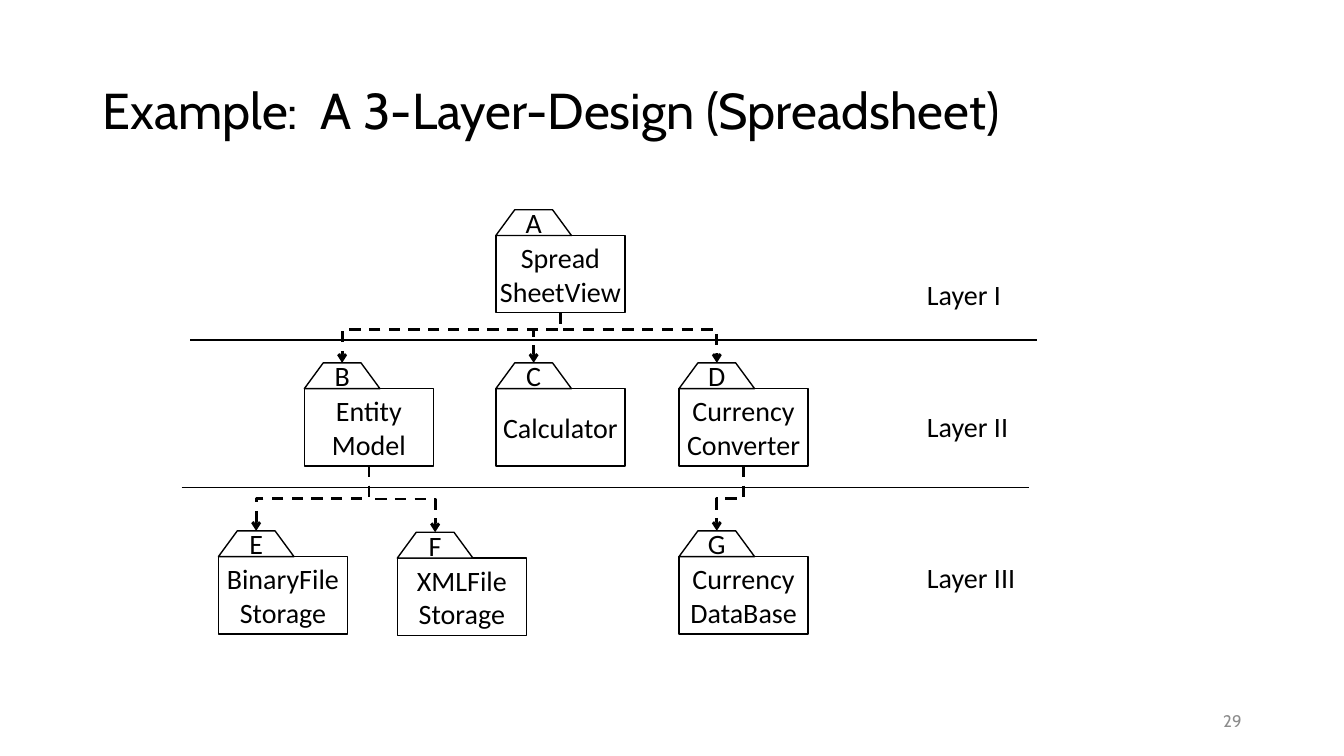
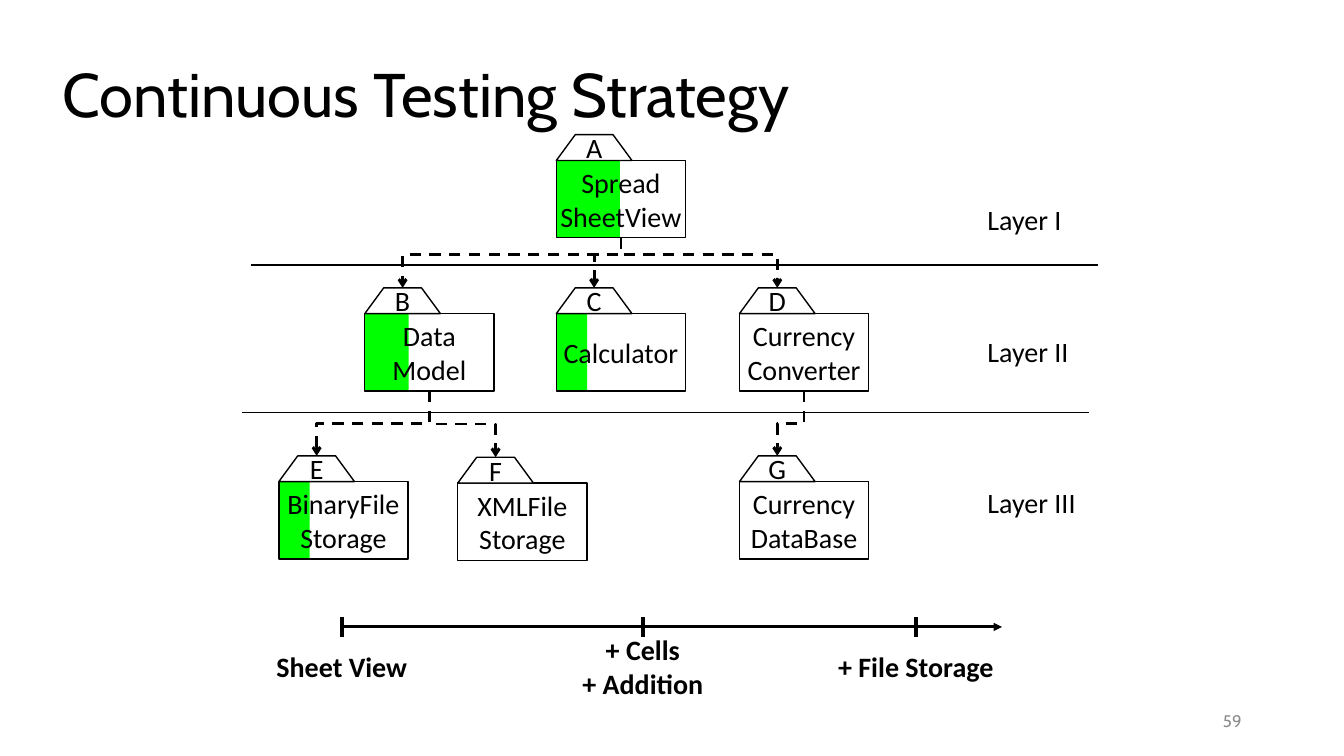
"""Build two slides that show a layered spreadsheet design and its testing strategy."""
from dataclasses import dataclass, field

from lxml import etree
from pptx import Presentation
from pptx.dml.color import RGBColor
from pptx.enum.dml import MSO_LINE
from pptx.enum.shapes import MSO_CONNECTOR, MSO_SHAPE
from pptx.enum.text import MSO_ANCHOR, MSO_AUTO_SIZE, PP_ALIGN
from pptx.oxml.ns import qn
from pptx.shapes.autoshape import Shape
from pptx.shapes.connector import Connector
from pptx.slide import Slide
from pptx.util import Pt

STRAIGHT, ELBOW = MSO_CONNECTOR.STRAIGHT, MSO_CONNECTOR.ELBOW
RECTANGLE, DASH = MSO_SHAPE.RECTANGLE, MSO_LINE.DASH
LEFT, CENTER, RIGHT = PP_ALIGN.LEFT, PP_ALIGN.CENTER, PP_ALIGN.RIGHT
MIDDLE, FIXED = MSO_ANCHOR.MIDDLE, MSO_AUTO_SIZE.NONE

COLORS = {"ink": "000000", "paper": "FFFFFF", "done": "00FF00", "number": "8C8C8C"}
BODY = {"name": "Calibri", "size": Pt(20)}
BOLD = {**BODY, "bold": True}
NUMBER = {"name": "Cabin", "size": Pt(12)}

SLIDE_WIDTH, SLIDE_HEIGHT = 960, 540
TITLE_ONLY = 5
BOX_WIDTH, BOX_HEIGHT = 92.3, 55.2
TAB_WIDTH, TAB_HEIGHT, TAB_SLANT = 54, 18.4, 13.5
TIMELINE_Y, TICK_HALF = 447.8, 7.2


@dataclass
class Module:
    """A package symbol: a lettered tab above a named box."""
    letter: str
    name: str
    left: float
    top: float


@dataclass
class Layer:
    """A layer name and its place."""
    name: str
    top: float


@dataclass
class Separator:
    """A horizontal line between two layers."""
    left: float
    top: float


@dataclass
class Dependency:
    """An arrow between two modules, bent at a share of its height."""
    source: str
    target: str
    bend: float


@dataclass
class Milestone:
    """A tick on the timeline and the label below it."""
    text: str
    x: float


@dataclass
class Diagram:
    """One slide: its title, its number and what differs in the diagram."""
    title: str
    title_frame: tuple[float, float, float, float]
    title_size: float
    number: str
    shift_x: float = 0
    shift_y: float = 0
    names: dict[str, str] = field(default_factory=dict)
    progress: dict[str, float] = field(default_factory=dict)
    milestones: list[Milestone] = field(default_factory=list)


MODULES = [
    Module("A", "Spread\vSheetView", 354.2, 149.8),
    Module("B", "Entity\nModel", 217.4, 259.2),
    Module("C", "Calculator", 354.2, 259.2),
    Module("D", "Currency\nConverter", 485, 259.2),
    Module("E", "BinaryFile\vStorage", 156, 379.2),
    Module("F", "XMLFile\vStorage", 283.8, 380.2),
    Module("G", "Currency\vDataBase", 485, 379.2),
]
LAYERS = [Layer("Layer I", 194.6), Layer("Layer II", 289), Layer("Layer III", 397.2)]
SEPARATORS = [Separator(136, 243), Separator(129.8, 348.4)]
SEPARATOR_LENGTH, LAYER_LEFT = 605, 655
DEPENDENCIES = [
    *(Dependency("A", target, 0.34) for target in "BCD"),
    Dependency("D", "G", 0.5),
    Dependency("B", "F", 0.5),
    Dependency("B", "E", 0.5),
]
DIAGRAMS = [
    Diagram("Example:  A 3-Layer-Design (Spreadsheet)", (66, 28.8, 828, 104.4), 36, "29"),
    Diagram(
        "Continuous Testing Strategy", (37.4, 31, 720, 77.8), 44, "59", 43.2, -53.6,
        names={"B": "Data\vModel"},
        progress={"A": 45.5, "B": 31.4, "C": 22, "E": 22},
        milestones=[
            Milestone("Sheet View", 244.2),
            Milestone("+ Cells\n+ Addition", 459.2),
            Milestone("+ File Storage", 654.2),
        ],
    ),
]


def color(name: str) -> RGBColor:
    """Look up a named colour."""
    return RGBColor.from_string(COLORS[name])


def write(shape: Shape, text: str, style: dict, align: PP_ALIGN = CENTER,
          ink: str = "ink", wrap: bool = False) -> None:
    """Put formatted text, centred vertically, into a shape."""
    frame = shape.text_frame
    frame.text = text
    settings = {"word_wrap": wrap, "auto_size": FIXED, "vertical_anchor": MIDDLE,
                "margin_top": 0, "margin_bottom": 0}
    for key, value in settings.items():
        setattr(frame, key, value)
    for para in frame.paragraphs:
        para.alignment = align
        for span in para.runs:
            for key, value in style.items():
                setattr(span.font, key, value)
            span.font.color.rgb = color(ink)


def add_label(page: Slide, frame: tuple[float, float, float, float], text: str,
              style: dict, align: PP_ALIGN, ink: str = "ink") -> None:
    """Add a text box."""
    box = page.shapes.add_textbox(*map(Pt, frame))
    write(box, text, style, align, ink, wrap=True)


def paint(shape: Shape, fill: str | None, line: str | None = "ink") -> None:
    """Set fill and outline, and drop the shadow."""
    shape.shadow.inherit = False
    if fill:
        shape.fill.solid()
        shape.fill.fore_color.rgb = color(fill)
    else:
        shape.fill.background()
    if line:
        shape.line.color.rgb = color(line)
        shape.line.width = Pt(1)
    else:
        shape.line.fill.background()


def add_line(page: Slide, kind: MSO_CONNECTOR, ends: tuple[float, float, float, float],
             width: float, head: str = "") -> Connector:
    """Add a connector, with an arrowhead at its end if one is named."""
    connector = page.shapes.add_connector(kind, *map(Pt, ends))
    connector.line.color.rgb = color("ink")
    connector.line.width = Pt(width)
    properties = connector._element.spPr
    etree.SubElement(properties, qn("a:effectLst"))
    if head:
        etree.SubElement(properties.find(qn("a:ln")), qn("a:tailEnd"), type=head)
    return connector


def add_dependency(page: Slide, source: Module, target: Module, bend: float,
                   diagram: Diagram) -> None:
    """Add a dashed arrow that leaves downward and enters the target's tab from above."""
    start_x = source.left + BOX_WIDTH / 2 + diagram.shift_x
    start_y = source.top + TAB_HEIGHT + BOX_HEIGHT + diagram.shift_y
    end_x = target.left + TAB_WIDTH / 2 + diagram.shift_x
    end_y = target.top + diagram.shift_y
    across, down = abs(end_x - start_x), end_y - start_y
    left = (start_x + end_x - down) / 2
    top = (start_y + end_y - across) / 2
    connector = add_line(page, ELBOW, (left, top, left + down, top + across), 2, "arrow")
    connector.line.dash_style = DASH
    properties = connector._element.spPr
    turn = {"rot": "5400000"} if end_x < start_x else {"rot": "16200000", "flipH": "1"}
    for key, value in turn.items():
        properties.find(qn("a:xfrm")).set(key, value)
    guides = properties.find(qn("a:prstGeom")).find(qn("a:avLst"))
    etree.SubElement(guides, qn("a:gd"), name="adj1", fmla=f"val {round(bend * 100000)}")


def add_module(page: Slide, module: Module, diagram: Diagram) -> None:
    """Add a module's progress bar, box and tab."""
    left, top = module.left + diagram.shift_x, module.top + diagram.shift_y
    box_top = top + TAB_HEIGHT
    done = diagram.progress.get(module.letter)
    if done:
        bar = page.shapes.add_shape(RECTANGLE, *map(Pt, (left, box_top, done, BOX_HEIGHT)))
        paint(bar, "done", None)
    box = page.shapes.add_shape(RECTANGLE, *map(Pt, (left, box_top, BOX_WIDTH, BOX_HEIGHT)))
    paint(box, None if done else "paper")
    write(box, diagram.names.get(module.letter, module.name), BODY)
    corners = [(left + TAB_SLANT, top), (left + TAB_WIDTH - TAB_SLANT, top),
               (left + TAB_WIDTH, box_top)]
    outline = page.shapes.build_freeform(Pt(left), Pt(box_top))
    outline.add_line_segments([(Pt(x), Pt(y)) for x, y in corners], close=True)
    tab = outline.convert_to_shape()
    paint(tab, "paper")
    write(tab, module.letter, BODY)


def add_timeline(page: Slide, milestones: list[Milestone]) -> None:
    """Add the time arrow with its ticks and labels."""
    add_line(page, STRAIGHT, (milestones[0].x, TIMELINE_Y, 715.7, TIMELINE_Y), 2, "triangle")
    for milestone in milestones:
        x = milestone.x
        add_line(page, STRAIGHT, (x, TIMELINE_Y - TICK_HALF, x, TIMELINE_Y + TICK_HALF), 2.5)
        add_label(page, (x - 70, 448.4, 140, 55.4), milestone.text, BOLD, CENTER)


def add_title(page: Slide, diagram: Diagram) -> None:
    """Place and format the title placeholder."""
    title = page.shapes.title
    for key, value in zip(("left", "top", "width", "height"), diagram.title_frame):
        setattr(title, key, Pt(value))
    style = {"name": "Cabin", "size": Pt(diagram.title_size)}
    write(title, diagram.title, style, LEFT, wrap=True)
    title.text_frame.paragraphs[0].line_spacing = 0.9


def add_page(deck: Presentation, diagram: Diagram) -> None:
    """Add one slide with its layered diagram."""
    page = deck.slides.add_slide(deck.slide_layouts[TITLE_ONLY])
    add_title(page, diagram)
    for separator in SEPARATORS:
        left, top = separator.left + diagram.shift_x, separator.top + diagram.shift_y
        add_line(page, STRAIGHT, (left, top, left + SEPARATOR_LENGTH, top), 1)
    for layer in LAYERS:
        frame = (LAYER_LEFT + diagram.shift_x, layer.top + diagram.shift_y, 100, 31)
        add_label(page, frame, layer.name, BODY, LEFT)
    modules = {module.letter: module for module in MODULES}
    for link in DEPENDENCIES:
        add_dependency(page, modules[link.source], modules[link.target], link.bend, diagram)
    for module in MODULES:
        add_module(page, module, diagram)
    if diagram.milestones:
        add_timeline(page, diagram.milestones)
    add_label(page, (678, 500.5, 216, 28.8), diagram.number, NUMBER, RIGHT, "number")


def main() -> None:
    """Build and save the deck."""
    deck = Presentation()
    deck.slide_width, deck.slide_height = Pt(SLIDE_WIDTH), Pt(SLIDE_HEIGHT)
    for diagram in DIAGRAMS:
        add_page(deck, diagram)
    deck.save("out.pptx")


if __name__ == "__main__":
    main()
